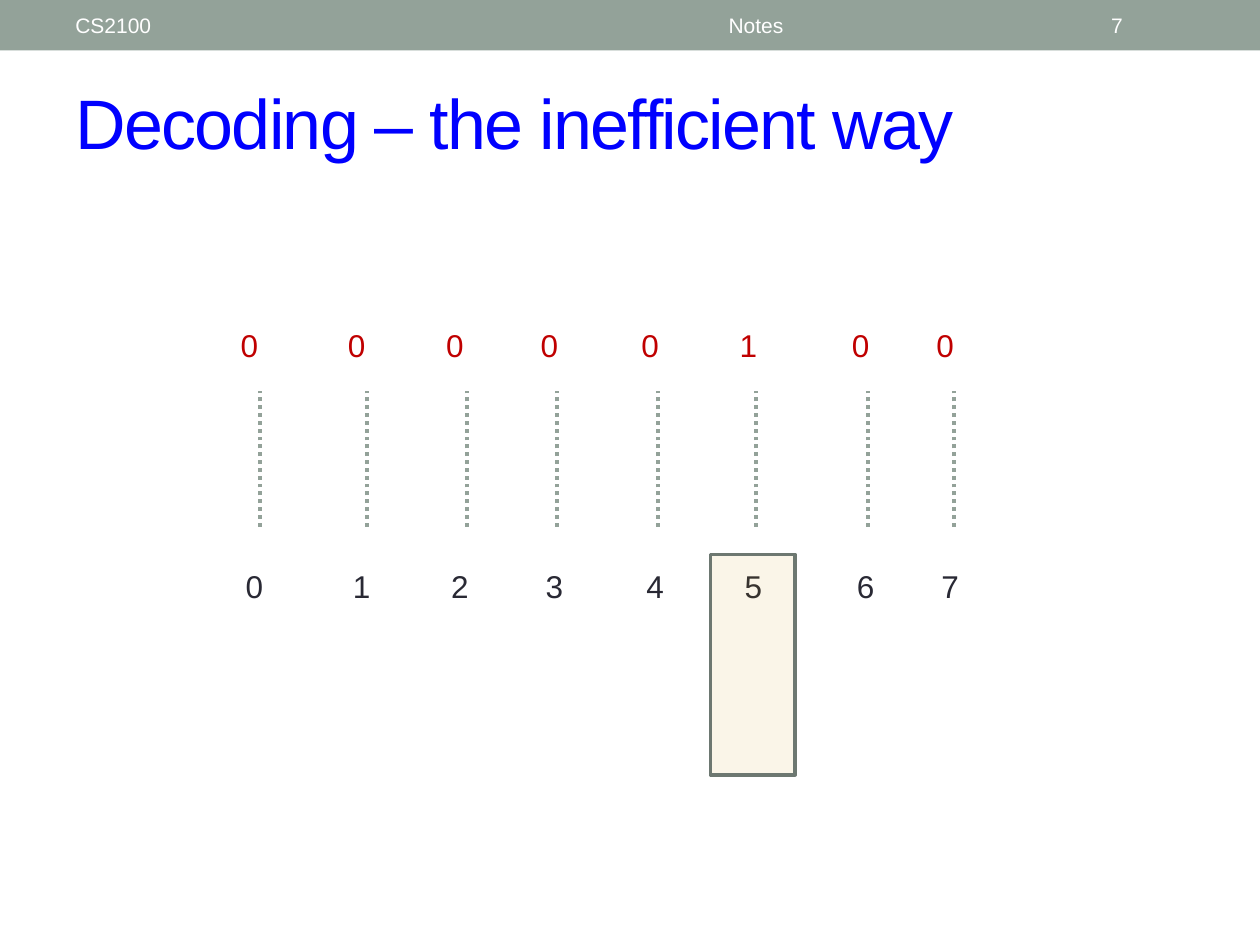
"""Build the slide on decoding the inefficient way, on a grid of 100 columns by 75 rows."""

from dataclasses import dataclass

import lxml.etree
import pptx
import pptx.dml.color
import pptx.enum.dml
import pptx.enum.shapes
import pptx.enum.text
import pptx.oxml.ns
import pptx.util

COLORS = {
    "band": "93A299",
    "white": "FFFFFF",
    "title": "0000FF",
    "index": "292934",
    "bit": "C00000",
    "highlight": "CC9900",
    "border": "6D7871",
}
CELL = pptx.util.Inches(0.1)
COLUMNS, ROWS = 100, 75
FONT = "Arial"
ALIGN = pptx.enum.text.PP_ALIGN
ANCHOR = pptx.enum.text.MSO_ANCHOR
RECTANGLE = pptx.enum.shapes.MSO_SHAPE.RECTANGLE


@dataclass(frozen=True)
class Area:
    left: float
    top: float
    width: float
    height: float

    def lengths(self) -> tuple[int, ...]:
        return tuple(cells(n) for n in (self.left, self.top, self.width, self.height))


@dataclass(frozen=True)
class Address:
    index: str
    bit: str
    left: float
    wire: float


@dataclass(frozen=True)
class HeaderItem:
    text: str
    area: Area
    align: ALIGN


ADDRESSES = [
    Address("0", "0", 18.1, 20.6),
    Address("1", "0", 26.6, 29.1),
    Address("2", "0", 34.4, 37.1),
    Address("3", "0", 41.9, 44.2),
    Address("4", "0", 49.9, 52.2),
    Address("5", "1", 57.7, 60),
    Address("6", "0", 66.6, 68.9),
    Address("7", "0", 73.3, 75.7),
]
HEADER = [
    HeaderItem("CS2100", Area(5, 0.2, 31.7, 3.6), ALIGN.LEFT),
    HeaderItem("Notes", Area(37.5, 0.2, 45, 3.6), ALIGN.CENTER),
    HeaderItem("7", Area(87.2, 0.2, 7.8, 3.6), ALIGN.LEFT),
]


def cells(count: float) -> int:
    return round(count * CELL)


def color(name: str) -> pptx.dml.color.RGBColor:
    return pptx.dml.color.RGBColor.from_string(COLORS[name])


def add_element(parent, tag: str, **attributes: str) -> None:
    lxml.etree.SubElement(parent, pptx.oxml.ns.qn(tag), attributes)


def write(box, text: str, *, size: float, ink: str, align=ALIGN.LEFT,
          anchor=ANCHOR.MIDDLE, spacing: float = 0) -> None:
    frame = box.text_frame
    frame.word_wrap = True
    frame.auto_size = pptx.enum.text.MSO_AUTO_SIZE.NONE
    frame.vertical_anchor = anchor
    para = frame.paragraphs[0]
    para.alignment = align
    span = para.add_run()
    span.text = text
    span.font.name = FONT
    span.font.size = pptx.util.Pt(size)
    span.font.color.rgb = color(ink)
    if spacing:
        span.font._element.set("spc", str(round(spacing * 100)))


def add_text(page, area: Area, text: str, **style) -> None:
    write(page.shapes.add_textbox(*area.lengths()), text, **style)


def add_rectangle(page, area: Area, fill: str):
    box = page.shapes.add_shape(RECTANGLE, *area.lengths())
    box.shadow.inherit = False
    box.fill.solid()
    box.fill.fore_color.rgb = color(fill)
    box.line.fill.background()
    return box


def add_wire(page, column: float) -> None:
    wire = page.shapes.add_connector(
        pptx.enum.shapes.MSO_CONNECTOR.STRAIGHT,
        cells(column), cells(41.8), cells(column), cells(31))
    wire.line.color.rgb = color("band")
    wire.line.width = pptx.util.Pt(2.25)
    wire.line.dash_style = pptx.enum.dml.MSO_LINE.ROUND_DOT
    add_element(wire._element.spPr, "a:effectLst")


def add_address(page, address: Address) -> None:
    digit = {"size": 18, "align": ALIGN.CENTER, "anchor": ANCHOR.TOP}
    add_text(page, Area(address.left, 44.5, 4.2, 4), address.index, ink="index", **digit)
    add_wire(page, address.wire)
    add_text(page, Area(address.left - 0.4, 25.4, 4.2, 4), address.bit, ink="bit", **digit)


def add_highlight(page, area: Area) -> None:
    box = add_rectangle(page, area, "highlight")
    tint = box._element.spPr.find(".//" + pptx.oxml.ns.qn("a:srgbClr"))
    add_element(tint, "a:alpha", val="9000")
    box.line.color.rgb = color("border")
    box.line.width = pptx.util.Pt(2.08)


def main() -> None:
    deck = pptx.Presentation()
    deck.slide_width, deck.slide_height = cells(COLUMNS), cells(ROWS)
    page = deck.slides.add_slide(deck.slide_layouts.get_by_name("Title Only"))
    add_rectangle(page, Area(0, 0, COLUMNS, 4), "band")
    for item in HEADER:
        add_text(page, item.area, item.text, size=12, ink="white", align=item.align)
    title = page.shapes.title
    title.left, title.top, title.width, title.height = Area(5, 5.8, 90, 7.7).lengths()
    write(title, "Decoding – the inefficient way", size=40, ink="title", spacing=-1)
    for address in ADDRESSES:
        add_address(page, address)
    add_highlight(page, Area(56.4, 44, 6.7, 17.5))
    deck.save("out.pptx")


if __name__ == "__main__":
    main()
